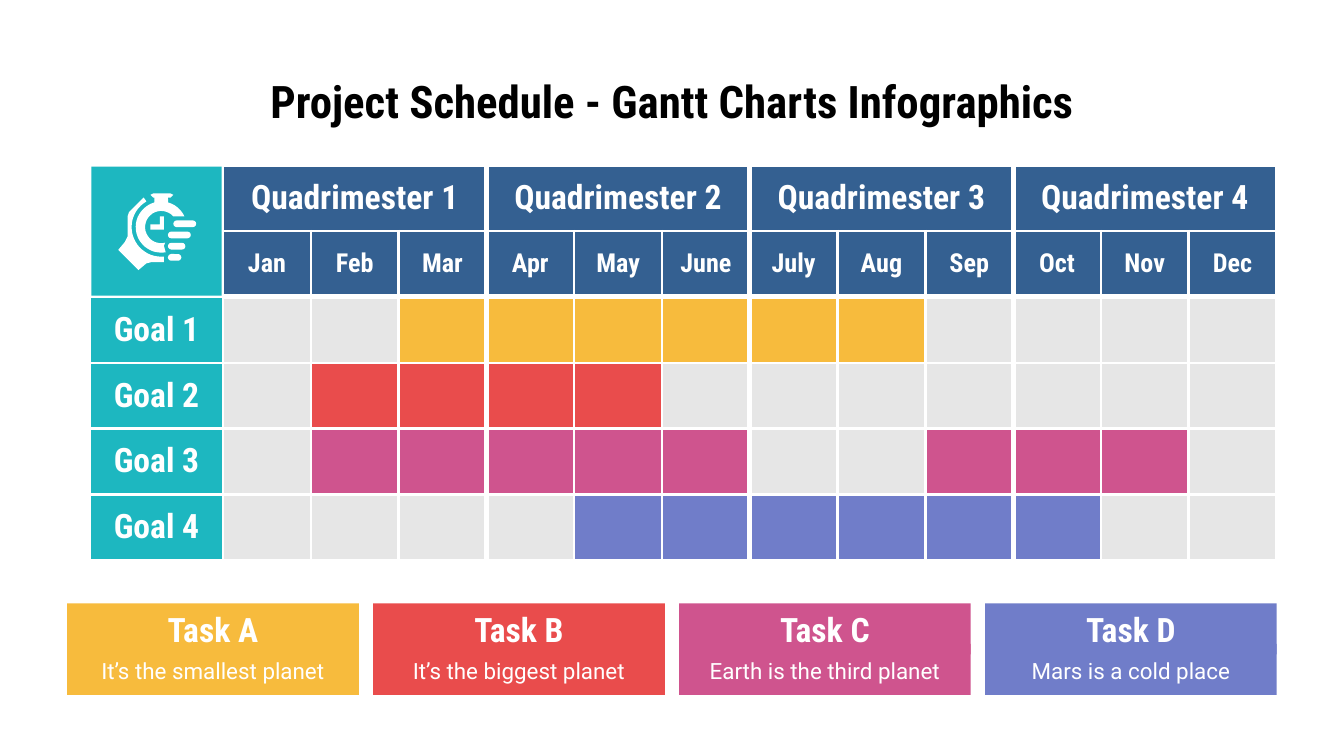
from math import cos, radians, sin
from lxml import etree
from pptx import Presentation, util as u
from pptx.dml.color import RGBColor
from pptx.enum import shapes, text
from pptx.oxml import ns

WIDE = 10
HIGH = WIDE * 9 / 16
HEAD, BODY = "Roboto Condensed", "Roboto"
HUES = {
    "ink": "000000", "white": "FFFFFF", "navy": "346091", "teal": "1DB7C0", "grey": "E6E6E6",
    "A": "F7BB3D", "B": "E94C4C", "C": "CF548E", "D": "707DC9",
}
MONTHS = "Jan Feb Mar Apr May June July Aug Sep Oct Nov Dec".split()
# One row per goal: a task's letter in each month it runs
PLAN = ["..AAAAAA....", ".BBBB.......", ".CCCCC..CCC.", "....DDDDDD.."]
TASKS = {
    "A": "It’s the smallest planet",
    "B": "It’s the biggest planet",
    "C": "Earth is the third planet",
    "D": "Mars is a cold place",
}
LEFT, TOP, RIGHT = 0.67, 1.23, 9.5
LABEL, ROW = 0.99, 0.49
MONTH = (RIGHT - LEFT - LABEL) / len(MONTHS)
THIN, THICK = 1.5, 3
UNITS = 1000  # freeform units per inch


def hue(name):
    return RGBColor.from_string(HUES[name])


def write(frame, words, size=18, font=HEAD, color="white", bold=True):
    para = frame.paragraphs[0]
    para.alignment = text.PP_ALIGN.CENTER
    run = para.add_run()
    run.text = words
    run.font.size, run.font.name, run.font.bold = u.Pt(size), font, bold
    run.font.color.rgb = hue(color)


def inset(item, side=0.1, end=0.1):
    item.margin_left = item.margin_right = u.Inches(side)
    item.margin_top = item.margin_bottom = u.Inches(end)


def paint(shape, color):
    shape.fill.solid()
    shape.fill.fore_color.rgb = hue(color)
    shape.line.fill.background()
    shape.shadow.inherit = False


def block(home, box, color, kind=shapes.MSO_SHAPE.RECTANGLE):
    shape = home.add_shape(kind, *map(u.Inches, box))
    paint(shape, color)
    return shape


def border(cell, row, first, last):
    """Draw white cell edges, thicker between quarters and under the header."""
    props = cell._tc.get_or_add_tcPr()
    widths = {
        "lnL": THICK if first in (4, 7, 10) else THIN,
        "lnR": THICK if last in (3, 6, 9) else THIN,
        "lnT": THICK if row == 2 and first else THIN,
        "lnB": THICK if row == 1 and first else THIN,
    }
    for tag, width in widths.items():
        line = etree.SubElement(props, ns.qn("a:" + tag), w=str(u.Pt(width)))
        fill = etree.SubElement(line, ns.qn("a:solidFill"))
        etree.SubElement(fill, ns.qn("a:srgbClr"), val=HUES["white"])


def fill_cell(grid, row, col, color=None, words="", size=18, span=1):
    cell = grid.cell(row, col)
    if span > 1:
        cell.merge(grid.cell(row, col + span - 1))
    border(cell, row, col, col + span - 1)
    inset(cell, end=0.08 if words else 0)
    cell.vertical_anchor = text.MSO_ANCHOR.MIDDLE
    if color:
        cell.fill.solid()
        cell.fill.fore_color.rgb = hue(color)
    else:
        cell.fill.background()
    if words:
        write(cell.text_frame, words, size)


def gantt(home):
    rows, cols = 2 + len(PLAN), 1 + len(MONTHS)
    box = (LEFT, TOP, RIGHT - LEFT, rows * ROW)
    grid = home.add_table(rows, cols, *map(u.Inches, box)).table
    grid.first_row = grid.horz_banding = False
    for num, col in enumerate(grid.columns):
        col.width = u.Inches(MONTH if num else LABEL)
    for row in grid.rows:
        row.height = u.Inches(ROW)
    for row in range(2):
        fill_cell(grid, row, 0)
    for num in range(4):
        fill_cell(grid, 0, 1 + 3 * num, "navy", f"Quadrimester {num + 1}", span=3)
    for col, month in enumerate(MONTHS, 1):
        fill_cell(grid, 1, col, "navy", month, 14)
    for num, marks in enumerate(PLAN, 1):
        fill_cell(grid, num + 1, 0, "teal", f"Goal {num}")
        for col, mark in enumerate(marks, 1):
            fill_cell(grid, num + 1, col, "grey" if mark == "." else mark)


def card(home, x, task, note):
    width, high = 2.17, 0.38
    group = home.add_group_shape().shapes
    top = block(group, (x, 4.49, width, high), task)
    low = block(group, (x, 4.79, width, high), task)
    for shape, anchor in ((top, text.MSO_ANCHOR.MIDDLE), (low, text.MSO_ANCHOR.TOP)):
        inset(shape.text_frame)
        shape.text_frame.word_wrap = True
        shape.text_frame.vertical_anchor = anchor
    write(top.text_frame, f"Task {task}")
    write(low.text_frame, note, 12, BODY, bold=False)


def arc(radius, start, end, steps=24):
    """Points around the watch's centre, with angles clockwise from the right."""
    turns = [radians(start + (end - start) * n / steps) for n in range(steps + 1)]
    return [(1.2 + radius * cos(t), 1.69 + radius * sin(t)) for t in turns]


def outline(home, points):
    dots = [(round(x * UNITS), round(y * UNITS)) for x, y in points]
    pen = home.build_freeform(*dots[0], scale=u.Inches(1) / UNITS)
    pen.add_line_segments(dots[1:], close=True)
    paint(pen.convert_to_shape(), "white")


def icon(home):
    block(home, (0.68, 1.24, 0.97, 0.96), "teal")
    group = home.add_group_shape().shapes
    watch = [(1.14, 1.44), (1.12, 1.45), (1.14, 1.47), (1.15, 1.47)]
    watch += arc(0.19, 254, 80) + [(1.22, 1.83)]
    watch += arc(0.12, 76, 318) + arc(0.19, 335, 286)
    watch += [(1.25, 1.47), (1.27, 1.47), (1.29, 1.45), (1.27, 1.44)]
    hands = [(1.19, 1.61), (1.22, 1.61), (1.22, 1.71), (1.12, 1.71), (1.12, 1.67), (1.19, 1.67)]
    palm = [(1.07, 1.47), (0.96, 1.58), (0.95, 1.61), (0.95, 1.76), (0.93, 1.8),
            (0.88, 1.86), (1.03, 2.01), (1.09, 1.96), (1.13, 1.95), (1.22, 1.95)]
    palm += arc(0.22, 85, 240)
    for points in (watch, hands, palm):
        outline(group, points)
    fingers = [(1.29, 0.17), (1.25, 0.17), (1.25, 0.13), (1.25, 0.1)]
    for num, (x, width) in enumerate(fingers):
        box = (x, 1.64 + num * 0.25 / 3, width, 0.05)
        bar = block(group, box, "white", shapes.MSO_SHAPE.ROUNDED_RECTANGLE)
        bar.adjustments[0] = 0.5


def title(home):
    box = home.add_textbox(*map(u.Inches, (0.05 * WIDE, 0.08 * HIGH, 0.9 * WIDE, 0.63)))
    inset(box.text_frame)
    box.text_frame.word_wrap = True
    write(box.text_frame, "Project Schedule - Gantt Charts Infographics", 24, color="ink")


def main():
    deck = Presentation()
    deck.slide_width, deck.slide_height = u.Inches(WIDE), u.Inches(HIGH)
    home = deck.slides.add_slide(deck.slide_layouts[6]).shapes
    title(home)
    gantt(home)
    step = (7.33 - 0.5) / 3
    for num, (task, note) in enumerate(TASKS.items()):
        card(home, 0.5 + num * step, task, note)
    icon(home)
    deck.save("out.pptx")


if __name__ == "__main__":
    main()
